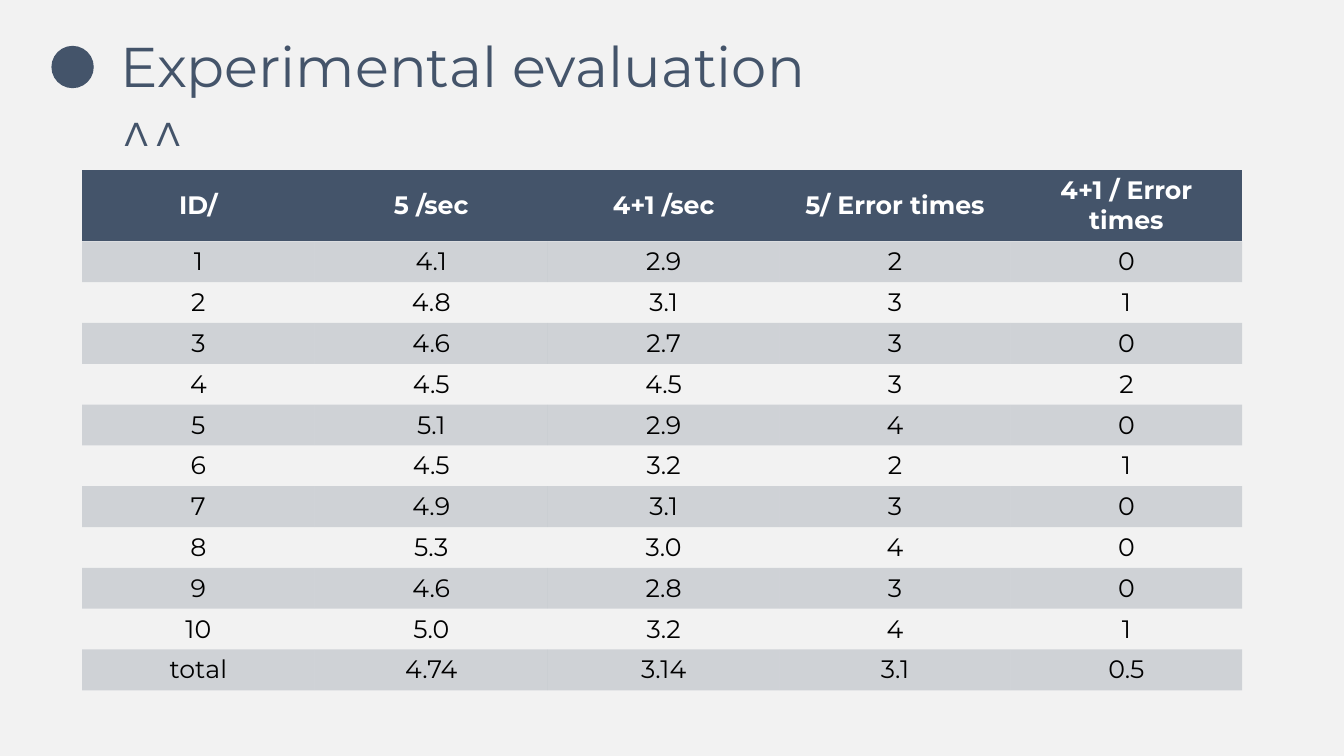
"""Build the experimental evaluation slide with its results table."""
import pptx
import pptx.dml.color
import pptx.enum.shapes
import pptx.enum.text
import pptx.oxml
import pptx.util
from pptx.util import Inches

COLORS = {"background": "F2F2F2", "slate": "44546A", "white": "FFFFFF", "black": "000000"}
FONT = "Montserrat"
NO_GRID_STYLE = "{2D5ABB26-0587-4C30-8999-92F81FD0307C}"
ALPHA_XML = '<a:alpha xmlns:a="http://schemas.openxmlformats.org/drawingml/2006/main" val="20000"/>'
COLUMN_WIDTHS = [4.61, 4.63, 4.59, 4.59, 4.59]
HEADER_HEIGHT = 1.41
ROW_HEIGHT = 0.81
RESULTS = [
    ["ID/", "5 /sec", "4+1 /sec", "5/ Error times", "4+1 / Error times"],
    ["1", "4.1", "2.9", "2", "0"],
    ["2", "4.8", "3.1", "3", "1"],
    ["3", "4.6", "2.7", "3", "0"],
    ["4", "4.5", "4.5", "3", "2"],
    ["5", "5.1", "2.9", "4", "0"],
    ["6", "4.5", "3.2", "2", "1"],
    ["7", "4.9", "3.1", "3", "0"],
    ["8", "5.3", "3.0", "4", "0"],
    ["9", "4.6", "2.8", "3", "0"],
    ["10", "5.0", "3.2", "4", "1"],
    ["total", "4.74", "3.14", "3.1", "0.5"],
]


def paint(fill, color):
    fill.solid()
    fill.fore_color.rgb = pptx.dml.color.RGBColor.from_string(COLORS[color])


def add_run(paragraph, text, size, color, bold=False):
    run = paragraph.add_run()
    run.text = text
    run.font.name = FONT
    run.font.size = pptx.util.Pt(size)
    run.font.bold = bold
    run.font.color.rgb = pptx.dml.color.RGBColor.from_string(COLORS[color])


presentation = pptx.Presentation()
presentation.slide_width = Inches(26.66)
presentation.slide_height = Inches(15)
slide = presentation.slides.add_slide(presentation.slide_layouts[6])
paint(slide.background.fill, "background")

table_height = HEADER_HEIGHT + ROW_HEIGHT * (len(RESULTS) - 1)
table_frame = slide.shapes.add_table(
    len(RESULTS), len(COLUMN_WIDTHS),
    Inches(1.63), Inches(3.37), Inches(sum(COLUMN_WIDTHS)), Inches(table_height))
table = table_frame.table
table.first_row = True
table.horz_banding = False
table._tbl.tblPr.find(pptx.oxml.ns.qn("a:tableStyleId")).text = NO_GRID_STYLE
for column, width in zip(table.columns, COLUMN_WIDTHS):
    column.width = Inches(width)

for row_index, values in enumerate(RESULTS):
    is_header = row_index == 0
    table.rows[row_index].height = Inches(HEADER_HEIGHT if is_header else ROW_HEIGHT)
    for column_index, value in enumerate(values):
        cell = table.cell(row_index, column_index)
        cell.margin_left = cell.margin_right = Inches(0.2)
        cell.margin_top = cell.margin_bottom = Inches(0.1)
        cell.vertical_anchor = pptx.enum.text.MSO_ANCHOR.MIDDLE
        if is_header:
            paint(cell.fill, "slate")
        elif row_index % 2:
            paint(cell.fill, "slate")
            color_element = cell._tc.tcPr.find(".//" + pptx.oxml.ns.qn("a:srgbClr"))
            color_element.append(pptx.oxml.parse_xml(ALPHA_XML))
        else:
            cell.fill.background()
        paragraph = cell.text_frame.paragraphs[0]
        paragraph.alignment = pptx.enum.text.PP_ALIGN.CENTER
        add_run(paragraph, value, 36, "white" if is_header else "black", is_header)

heading = slide.shapes.add_group_shape()
dot = heading.shapes.add_shape(
    pptx.enum.shapes.MSO_SHAPE.OVAL, Inches(1.02), Inches(0.91), Inches(0.84), Inches(0.84))
dot.shadow.inherit = False
paint(dot.fill, "slate")
dot.line.fill.background()

title = heading.shapes.add_textbox(Inches(2.29), Inches(0.58), Inches(14.86), Inches(2.79))
title.text_frame.word_wrap = False
title.text_frame.auto_size = pptx.enum.text.MSO_AUTO_SIZE.SHAPE_TO_FIT_TEXT
add_run(title.text_frame.paragraphs[0], "Experimental evaluation", 80, "slate")
add_run(title.text_frame.add_paragraph(), "^^", 80, "slate")

presentation.save("out.pptx")
